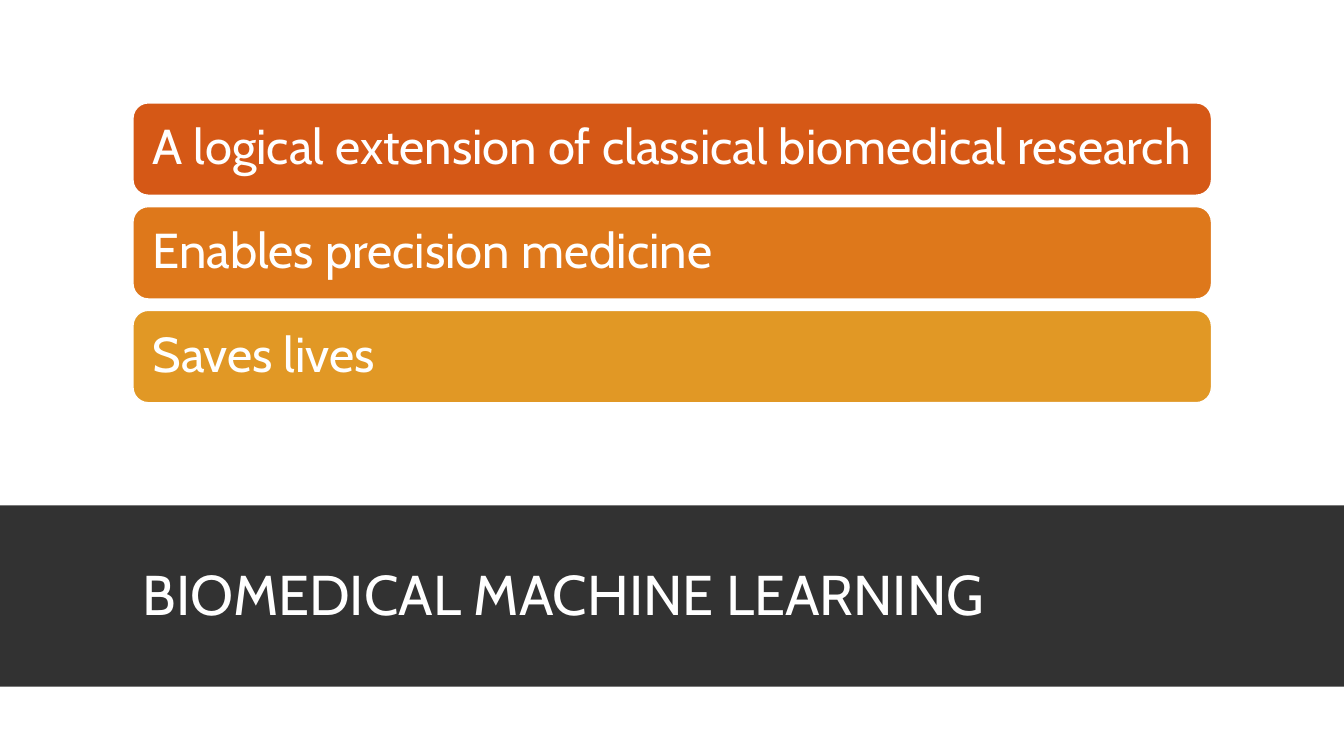
"""Build a slide with three benefit bars above a dark title band."""
from pptx import Presentation
from pptx.dml.color import RGBColor
from pptx.enum.shapes import MSO_SHAPE as Preset
from pptx.enum.text import MSO_ANCHOR as Anchor, PP_ALIGN as Align
from pptx.util import Pt

COLOURS = {
    "white": "FFFFFF",
    "band": "323232",
    "red": "D55816",
    "orange": "DE781B",
    "amber": "E19825",
}
FONT = "Cabin"
LEFT, WIDTH = 95, 770.4
BAR_TOP, BAR_HEIGHT, BAR_STEP = 73.5, 66, 74.1
BENEFITS = [
    ("A logical extension of classical biomedical research", "red"),
    ("Enables precision medicine", "orange"),
    ("Saves lives", "amber"),
]


def colour(name):
    return RGBColor.from_string(COLOURS[name])


def add_block(slide, preset, left, top, width, height, fill):
    shape = slide.shapes.add_shape(preset, Pt(left), Pt(top), Pt(width), Pt(height))
    shape.shadow.inherit = False
    shape.fill.solid()
    shape.fill.fore_color.rgb = colour(fill)
    shape.line.fill.background()
    return shape


def write_text(shape, text, size, line_spacing):
    frame = shape.text_frame
    frame.text = text
    frame.word_wrap = True
    frame.vertical_anchor = Anchor.MIDDLE
    paragraph = frame.paragraphs[0]
    paragraph.alignment = Align.LEFT
    paragraph.line_spacing = line_spacing
    font = paragraph.runs[0].font
    font.name = FONT
    font.size = Pt(size)
    font.color.rgb = colour("white")


def add_benefit(slide, index, text, fill):
    top = BAR_TOP + index * BAR_STEP
    bar = add_block(slide, Preset.ROUNDED_RECTANGLE, LEFT, top, WIDTH, BAR_HEIGHT, fill)
    bar.line.color.rgb = colour("white")
    bar.line.width = Pt(1)
    write_text(bar, text, 35, 0.9)
    bar.text_frame.margin_left = Pt(10.8)
    bar.text_frame.margin_right = Pt(6)


def add_title(slide, text):
    add_block(slide, Preset.RECTANGLE, 0, 361, 960, 129.6, "band")
    title = slide.shapes.add_textbox(Pt(LEFT), Pt(368), Pt(WIDTH), Pt(118.8))
    write_text(title, text, 40, 0.85)


def main():
    presentation = Presentation()
    presentation.slide_width = Pt(960)
    presentation.slide_height = Pt(540)
    slide = presentation.slides.add_slide(presentation.slide_layouts[6])
    add_title(slide, "BIOMEDICAL MACHINE LEARNING")
    for index, (text, fill) in enumerate(BENEFITS):
        add_benefit(slide, index, text, fill)
    presentation.save("out.pptx")


if __name__ == "__main__":
    main()
